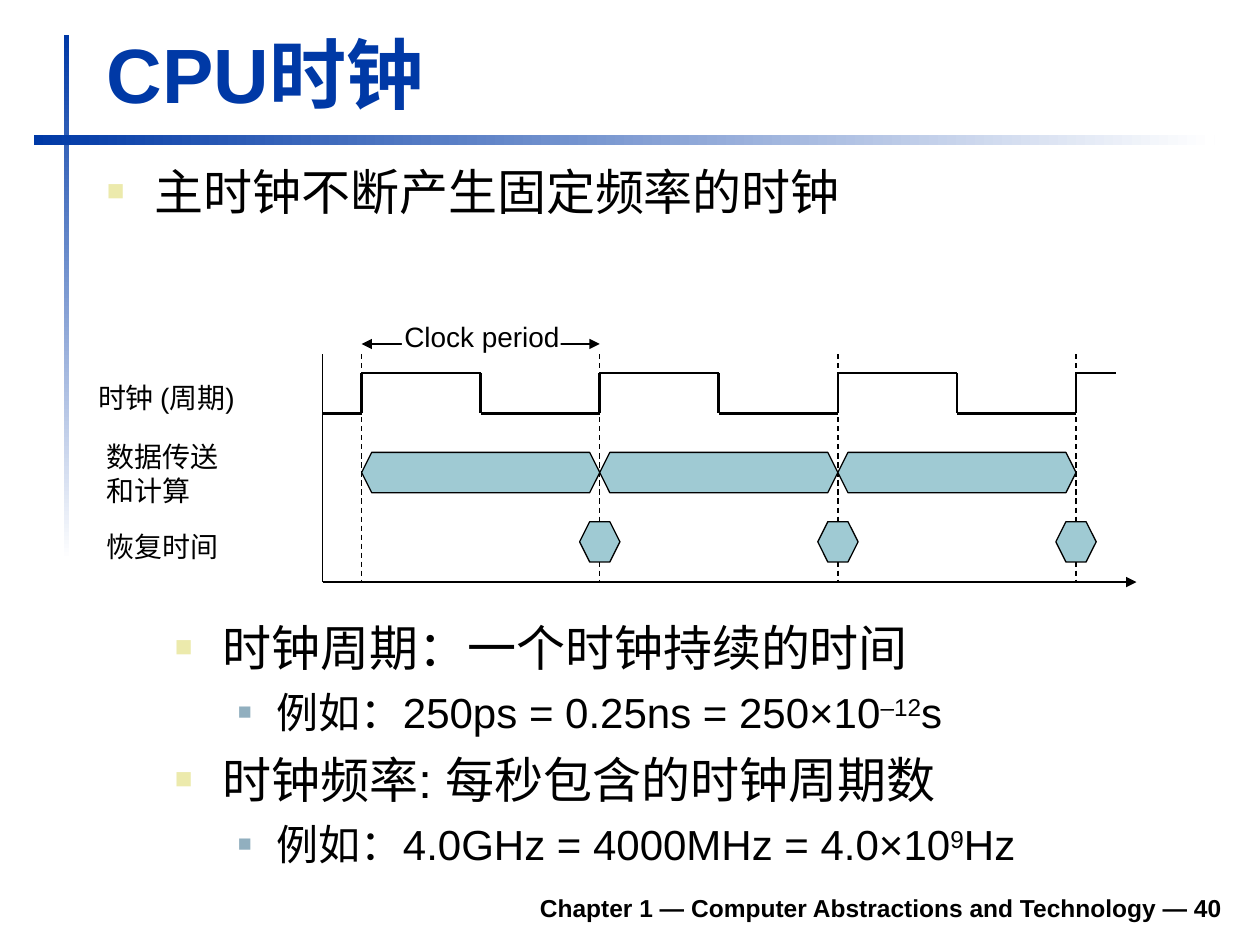
from dataclasses import dataclass

from lxml.etree import SubElement
from pptx import Presentation
from pptx.dml.color import RGBColor
from pptx.enum.dml import MSO_LINE
from pptx.enum.shapes import MSO_CONNECTOR, MSO_SHAPE
from pptx.enum.text import MSO_ANCHOR, MSO_AUTO_SIZE, PP_ALIGN
from pptx.oxml.ns import qn
from pptx.util import Inches, Pt

COLORS = {
    "blue": "0039A6",
    "white": "FFFFFF",
    "black": "000000",
    "teal": "9FCAD3",
    "bullet1": "ECEAAC",
    "bullet2": "91AFBF",
}
FONT = "Arial"


@dataclass(frozen=True)
class Bullet:
    level: int
    size: int
    color: str
    percent: int
    margin: float
    hanging: float
    before: int


@dataclass(frozen=True)
class Label:
    text: str
    box: tuple[float, float, float, float]
    align: PP_ALIGN = PP_ALIGN.LEFT


MAIN = Bullet(0, 28, "bullet1", 60, 0.38, 0.38, 7)
SUB = Bullet(1, 24, "bullet2", 55, 0.81, 0.31, 6)

# Timing diagram measures, in inches
PERIOD = 1.89
EDGES = [2.87 + PERIOD * i for i in range(4)]
AXIS_X, AXIS_Y, AXIS_TOP = 2.56, 4.62, 2.81
HIGH, LOW = 2.96, 3.28
HEX_H, HEX_CUT = 0.32, 0.08

LABELS = [
    Label("时钟 (周期)", (0.68, 2.97, 1.45, 0.37)),
    Label("数据传送\n和计算", (0.75, 3.44, 1.1, 0.64)),
    Label("恢复时间", (0.75, 4.15, 1.1, 0.37)),
    Label("Clock period", (3.11, 2.49, 1.43, 0.37), PP_ALIGN.CENTER),
]


def rgb(name: str) -> RGBColor:
    return RGBColor.from_string(COLORS[name])


def add_bullet(p, style: Bullet) -> None:
    pPr = p._p.get_or_add_pPr()
    pPr.set("marL", str(Inches(style.margin)))
    pPr.set("indent", str(-Inches(style.hanging)))
    clr = SubElement(pPr, qn("a:buClr"))
    SubElement(clr, qn("a:srgbClr"), val=COLORS[style.color])
    SubElement(pPr, qn("a:buSzPct"), val=str(style.percent * 1000))
    SubElement(pPr, qn("a:buFont"), typeface=FONT)
    SubElement(pPr, qn("a:buChar"), char="■")
    p.level = style.level


def add_text(slide, paragraphs, box, *, size=16, color="black", bold=False,
             align=PP_ALIGN.LEFT, anchor=MSO_ANCHOR.TOP, wrap=True, bullets=()):
    """Each paragraph is a list of runs; every second run is superscript."""
    sp = slide.shapes.add_textbox(*map(Inches, box))
    tf = sp.text_frame
    tf.word_wrap = wrap
    tf.auto_size = MSO_AUTO_SIZE.NONE if wrap else MSO_AUTO_SIZE.SHAPE_TO_FIT_TEXT
    tf.vertical_anchor = anchor
    for i, runs in enumerate(paragraphs):
        p = tf.paragraphs[0] if i == 0 else tf.add_paragraph()
        p.alignment = align
        style = bullets[i] if bullets else None
        if style:
            add_bullet(p, style)
            if i:
                p.space_before = Pt(style.before)
        for j, text in enumerate(runs):
            r = p.add_run()
            r.text = text
            r.font.name = FONT
            r.font.size = Pt(style.size if style else size)
            r.font.bold = bold
            r.font.color.rgb = rgb(color)
            if j % 2:
                r._r.get_or_add_rPr().set("baseline", "30000")
    return sp


def add_line(slide, x1: float, y1: float, x2: float, y2: float, *,
             width=0.75, dashed=False, head=False, tail=False):
    cx = slide.shapes.add_connector(
        MSO_CONNECTOR.STRAIGHT, Inches(x1), Inches(y1), Inches(x2), Inches(y2))
    cx.line.color.rgb = rgb("black")
    cx.line.width = Pt(width)
    if dashed:
        cx.line.dash_style = MSO_LINE.DASH
    ln = cx.line._get_or_add_ln()
    for tag, wanted in (("a:headEnd", head), ("a:tailEnd", tail)):
        if wanted:
            SubElement(ln, qn(tag), type="triangle")
    SubElement(cx._element.spPr, qn("a:effectLst"))
    return cx


def add_rect(slide, box):
    sp = slide.shapes.add_shape(MSO_SHAPE.RECTANGLE, *map(Inches, box))
    sp.shadow.inherit = False
    sp.line.fill.background()
    return sp


def add_gradient_bar(slide, box, angle: int) -> None:
    fill = add_rect(slide, box).fill
    fill.gradient()
    fill.gradient_angle = angle
    for stop, name in zip(fill.gradient_stops, ("blue", "white")):
        stop.color.rgb = rgb(name)


def add_hexagon(slide, left: float, right: float, top: float) -> None:
    mid, bottom = top + HEX_H / 2, top + HEX_H
    points = [(left + HEX_CUT, top), (right - HEX_CUT, top), (right, mid),
              (right - HEX_CUT, bottom), (left + HEX_CUT, bottom)]
    fb = slide.shapes.build_freeform(Inches(left), Inches(mid))
    fb.add_line_segments([(Inches(x), Inches(y)) for x, y in points], close=True)
    sp = fb.convert_to_shape()
    sp.shadow.inherit = False
    sp.fill.solid()
    sp.fill.fore_color.rgb = rgb("teal")
    sp.line.color.rgb = rgb("black")
    sp.line.width = Pt(0.75)


def add_timing_diagram(slide) -> None:
    # Period arrow and clock edge guides
    add_line(slide, EDGES[0], 2.73, EDGES[1], 2.73, head=True, tail=True)
    for x in EDGES:
        add_line(slide, x, AXIS_TOP, x, AXIS_Y, dashed=True)

    # Clock wave
    wave = [(AXIS_X, LOW)]
    for x in EDGES[:-1]:
        half = x + PERIOD / 2
        wave += [(x, LOW), (x, HIGH), (half, HIGH), (half, LOW)]
    wave += [(EDGES[-1], LOW), (EDGES[-1], HIGH), (8.86, HIGH)]
    for start, end in zip(wave, wave[1:]):
        add_line(slide, *start, *end, width=1.5)

    # Update pulses and computation spans
    for left, right in zip(EDGES, EDGES[1:]):
        add_hexagon(slide, right - 0.16, right + 0.16, 4.14)
        add_hexagon(slide, left, right, 3.59)

    # Axes
    add_line(slide, AXIS_X, AXIS_Y, 9.02, AXIS_Y, tail=True)
    add_line(slide, AXIS_X, AXIS_Y, AXIS_X, AXIS_TOP)

    # Labels, with a white gap in the period arrow
    gap = add_rect(slide, (3.19, 2.65, 1.26, 0.16))
    gap.fill.solid()
    gap.fill.fore_color.rgb = rgb("white")
    for label in LABELS:
        add_text(slide, [[line] for line in label.text.split("\n")], label.box,
                 align=label.align, wrap=False)


def main() -> None:
    prs = Presentation()
    prs.slide_width, prs.slide_height = Inches(10), Inches(7.5)
    slide = prs.slides.add_slide(prs.slide_layouts[6])

    # Frame bars, footer and title
    add_gradient_bar(slide, (0.51, 0.28, 0.04, 4.17), 270)
    add_gradient_bar(slide, (0.27, 1.07, 9.37, 0.08), 0)
    add_text(slide, [["Chapter 1 — Computer Abstractions and Technology — 40"]],
             (1.85, 6.98, 7.95, 0.39), size=14, bold=True,
             align=PP_ALIGN.RIGHT, anchor=MSO_ANCHOR.BOTTOM)
    add_text(slide, [["CPU时钟"]], (0.75, 0.16, 9.03, 0.83), size=44,
             color="blue", bold=True, anchor=MSO_ANCHOR.BOTTOM)

    # Body text around the diagram
    add_text(slide, [["主时钟不断产生固定频率的时钟"]], (0.75, 1.23, 9.04, 1.34),
             bullets=[MAIN])
    add_timing_diagram(slide)
    add_text(slide, [
        ["时钟周期：一个时钟持续的时间"],
        ["例如：250ps = 0.25ns = 250×10", "–12", "s"],
        ["时钟频率: 每秒包含的时钟周期数"],
        ["例如：4.0GHz = 4000MHz = 4.0×10", "9", "Hz"],
    ], (1.29, 4.85, 8.5, 2.13), bullets=[MAIN, SUB, MAIN, SUB])

    prs.save("out.pptx")


if __name__ == "__main__":
    main()
